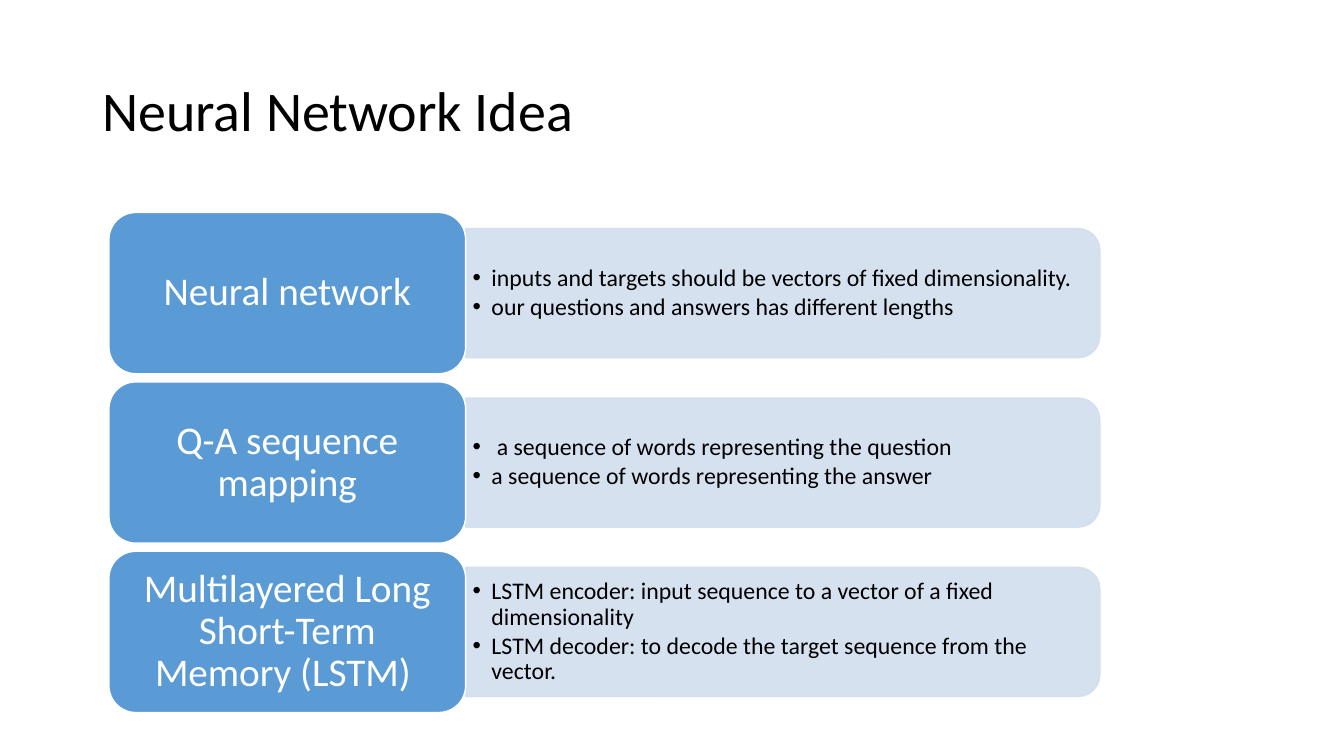
from pptx import Presentation
from pptx import util as u
from pptx.dml import color
from pptx.enum import shapes, text
from pptx.oxml import ns
from lxml import etree

Pt = u.Pt

# Theme: colours and type sizes
theme = {
    "font": "Calibri",
    "ink": "000000", "paper": "FFFFFF", "card": "5B9BD5", "bar": "D2DEEF",
    "title": 40, "head": 28, "point": 17,
}

# Rows: heading and its points
rows = [
    ("Neural network",
     ["inputs and targets should be vectors of fixed dimensionality.",
      "our questions and answers has different lengths"]),
    ("Q-A sequence mapping",
     [" a sequence of words representing the question",
      "a sequence of words representing the answer"]),
    ("Multilayered Long Short-Term Memory (LSTM) ",
     ["LSTM encoder: input sequence to a vector of a fixed dimensionality",
      "LSTM decoder: to decode the target sequence from the vector."]),
]


def write(frame, lines, size, ink, align, inset, after=0):
    side, edge = Pt(inset[0]), Pt(inset[1])
    form = {"word_wrap": True, "vertical_anchor": text.MSO_ANCHOR.MIDDLE,
            "margin_left": side, "margin_right": side,
            "margin_top": edge, "margin_bottom": edge}
    for key, value in form.items():
        setattr(frame, key, value)
    for i, line in enumerate(lines):
        para = frame.add_paragraph() if i else frame.paragraphs[0]
        form = {"text": line, "alignment": align,
                "line_spacing": 0.9, "space_after": Pt(after)}
        for key, value in form.items():
            setattr(para, key, value)
        font = para.runs[0].font
        for key, value in {"name": theme["font"], "size": Pt(theme[size])}.items():
            setattr(font, key, value)
        font.color.rgb = color.RGBColor.from_string(theme[ink])


def paint(shape, fill, line):
    shape.shadow.inherit = False
    shape.fill.solid()
    shape.fill.fore_color.rgb = color.RGBColor.from_string(theme[fill])
    shape.line.color.rgb = color.RGBColor.from_string(theme[line])
    shape.line.width = Pt(1)


deck = Presentation()
deck.slide_width, deck.slide_height = Pt(960), Pt(540)
slide = deck.slides.add_slide(deck.slide_layouts[6])
items = slide.shapes
left, center = text.PP_ALIGN.LEFT, text.PP_ALIGN.CENTER

# Title
title = items.add_textbox(Pt(66), Pt(28.8), Pt(828), Pt(104.4))
write(title.text_frame, ["Neural Network Idea"], "title", "ink", left, (7.2, 3.6))

# Row grid
card_x, card_w, card_h = 77.8, 254.8, 115.2
top, pitch = 151.8, 121
bar_x, bar_w, bar_h = card_x + card_w, 453, 92.2
note_w, note_h = 448.6, 83.5

for i, (head, points) in enumerate(rows):
    y = top + i * pitch
    mid = y + card_h / 2

    # Bar: a tall shape turned so that its round end faces right
    bar = items.add_shape(shapes.MSO_SHAPE.ROUND_2_SAME_RECTANGLE,
                          Pt(bar_x + (bar_w - bar_h) / 2), Pt(mid - bar_w / 2),
                          Pt(bar_h), Pt(bar_w))
    bar.rotation = 90
    paint(bar, "bar", "bar")
    for tint in bar._element.spPr.iter(ns.qn("a:srgbClr")):
        etree.SubElement(tint, ns.qn("a:alpha"), val="90000")

    # Points
    note = items.add_textbox(Pt(bar_x), Pt(mid - note_h / 2), Pt(note_w), Pt(note_h))
    write(note.text_frame, points, "point", "ink", left, (5, 2.9), 2.5)
    for para in note.text_frame.paragraphs:
        props = para._p.get_or_add_pPr()
        props.set("marL", str(Pt(13.5)))
        props.set("indent", str(-Pt(13.5)))
        etree.SubElement(props, ns.qn("a:buFont"), typeface="Arial")
        etree.SubElement(props, ns.qn("a:buChar"), char="•")

    # Card
    card = items.add_shape(shapes.MSO_SHAPE.ROUNDED_RECTANGLE,
                           Pt(card_x), Pt(y), Pt(card_w), Pt(card_h))
    paint(card, "card", "paper")
    write(card.text_frame, [head], "head", "paper", center, (8.6, 4.3))

deck.save("out.pptx")
